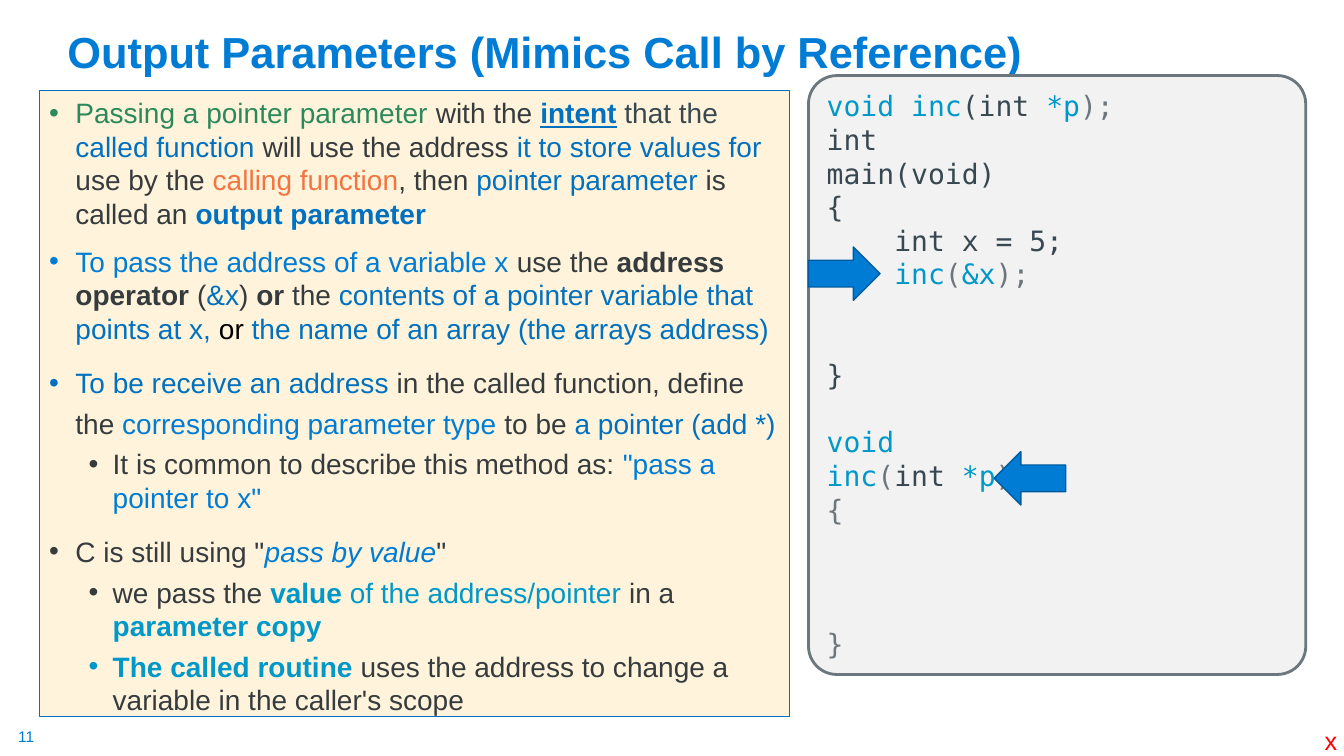
from lxml.etree import SubElement
from pptx import Presentation
from pptx.dml.color import RGBColor
from pptx.enum.shapes import MSO_SHAPE
from pptx.enum.text import MSO_ANCHOR, PP_ALIGN
from pptx.oxml.ns import qn
from pptx.util import Inches, Pt

BLUE = RGBColor(0x00, 0x7C, 0xD5)
DEEP_BLUE = RGBColor(0x00, 0x70, 0xC0)
EDGE_BLUE = RGBColor(0x00, 0x5C, 0x9E)
CYAN = RGBColor(0x00, 0x98, 0xC9)
GREEN = RGBColor(0x2C, 0x89, 0x5B)
ORANGE = RGBColor(0xF3, 0x74, 0x40)
RED = RGBColor(0xFF, 0x00, 0x00)
BLACK = RGBColor(0x00, 0x00, 0x00)
CHARCOAL = RGBColor(0x36, 0x3B, 0x3E)
SLATE = RGBColor(0x38, 0x48, 0x51)
GRAY = RGBColor(0x6B, 0x76, 0x7D)
LIGHT_GRAY = RGBColor(0xF2, 0xF2, 0xF2)
CREAM = RGBColor(0xFF, 0xF4, 0xDB)

COLUMNS, ROWS = 160, 90
CODE_LINE = 24
CODE_INDENT = 0.67
BULLET_INDENTS = [(0.26, -0.26), (0.63, -0.24)]

BULLETS = [
    (0, 1, [
        ("Passing a pointer parameter ", GREEN), ("with the ", CHARCOAL),
        ("intent", DEEP_BLUE, "bold", "underline"), (" ", DEEP_BLUE),
        ("that the ", SLATE), ("called function ", DEEP_BLUE),
        ("will use the address ", CHARCOAL), ("it to store values for ", DEEP_BLUE),
        ("use by the ", CHARCOAL), ("calling function", ORANGE),
        (", then ", CHARCOAL), ("pointer parameter", DEEP_BLUE),
        (" is called an ", CHARCOAL), ("output parameter", DEEP_BLUE, "bold")]),
    (0, 1, [
        ("To pass the address of a variable x ", BLUE), ("use the ", CHARCOAL),
        ("address operator ", CHARCOAL, "bold"), ("(", CHARCOAL),
        ("&x", DEEP_BLUE), (") ", CHARCOAL), ("or", CHARCOAL, "bold"),
        (" the ", CHARCOAL),
        ("contents of a pointer variable that points at x, ", DEEP_BLUE),
        ("or", BLACK), (" the name of an array (the arrays address)", DEEP_BLUE)]),
    (0, 1.2, [
        ("To be receive an address", DEEP_BLUE),
        (" in the called function, define the ", CHARCOAL),
        ("corresponding parameter type", BLUE), (" to be ", CHARCOAL),
        ("a pointer (add *)", DEEP_BLUE)]),
    (1, 1, [
        ("It is common to describe this method as: ", CHARCOAL),
        ("\"pass a pointer to x\"", BLUE)]),
    (0, 1.2, [
        ("C is still using \"", CHARCOAL), ("pass by value", BLUE, "italic"),
        ("\"", CHARCOAL)]),
    (1, 1, [
        ("we pass the ", CHARCOAL), ("value ", CYAN, "bold"),
        ("of the address/pointer ", CYAN), ("in a ", CHARCOAL),
        ("parameter copy", CYAN, "bold")]),
    (1, 1, [
        ("The called routine", CYAN, "bold"),
        (" uses the address to change a variable in the caller's scope", CHARCOAL)]),
]

CODE = [
    (0, 0, [("void inc", CYAN), ("(int ", SLATE), ("*p", CYAN), (");", GRAY)]),
    (0, 0, [("int", SLATE)]),
    (0, 0, [("main(void)", SLATE)]),
    (0, 0, [("{", SLATE)]),
    (1, 0, [("int x = 5;", SLATE)]),
    (1, 0, [("inc", CYAN), ("(", GRAY), ("&x", CYAN), (");", GRAY)]),
    (0, 2, [("}", SLATE)]),
    (0, 1, [("void", CYAN)]),
    (0, 0, [("inc", CYAN), ("(", GRAY), ("int ", SLATE), ("*p", CYAN), (")", GRAY)]),
    (0, 0, [("{", GRAY)]),
    (0, 3, [("}", GRAY)]),
]


def write(paragraph, text, color, *styles, size=20, font="Arial"):
    run = paragraph.add_run()
    run.text = text
    run.font.name = font
    run.font.size = Pt(size)
    run.font.color.rgb = color
    for style in styles:
        setattr(run.font, style, True)


def indent(paragraph, left, first=0, bullet=None):
    properties = paragraph._p.get_or_add_pPr()
    properties.set("marL", str(Inches(left)))
    properties.set("indent", str(Inches(first)))
    if bullet:
        SubElement(properties, qn("a:buFont"), typeface="Arial")
        SubElement(properties, qn("a:buChar"), char=bullet)


class SlideBuilder:
    def __init__(self, presentation):
        self.slide = presentation.slides.add_slide(presentation.slide_layouts[6])
        self.column = presentation.slide_width / COLUMNS
        self.row = presentation.slide_height / ROWS

    def place(self, left, top, width, height):
        return (round(left * self.column), round(top * self.row),
                round(width * self.column), round(height * self.row))

    def label(self, area, text, color, *styles, size, margin=0.0, wrap=False):
        frame = self.slide.shapes.add_textbox(*self.place(*area)).text_frame
        frame.word_wrap = wrap
        frame.vertical_anchor = MSO_ANCHOR.BOTTOM
        frame.margin_left = frame.margin_right = Inches(margin)
        frame.margin_top = frame.margin_bottom = Inches(margin / 2)
        write(frame.paragraphs[0], text, color, *styles, size=size)
        return frame.paragraphs[0]

    def shape(self, kind, area, fill, line, line_width):
        shape = self.slide.shapes.add_shape(kind, *self.place(*area))
        shape.shadow.inherit = False
        shape.fill.solid()
        shape.fill.fore_color.rgb = fill
        shape.line.color.rgb = line
        shape.line.width = Pt(line_width)
        return shape

    def paragraphs(self, shape, items):
        frame = shape.text_frame
        frame.word_wrap = True
        frame.vertical_anchor = MSO_ANCHOR.TOP
        for index, item in enumerate(items):
            paragraph = frame.paragraphs[0] if index == 0 else frame.add_paragraph()
            paragraph.alignment = PP_ALIGN.LEFT
            yield index, paragraph, item

    def bullet_panel(self, area, bullets):
        panel = self.shape(MSO_SHAPE.RECTANGLE, area, CREAM, DEEP_BLUE, 0.75)
        for index, paragraph, (level, spacing, runs) in self.paragraphs(panel, bullets):
            paragraph.level = level
            paragraph.line_spacing = spacing
            paragraph.space_before = Pt((10, 5)[level] if index else 0)
            indent(paragraph, *BULLET_INDENTS[level], bullet="•")
            for run in runs:
                write(paragraph, *run)

    def code_panel(self, area, code):
        panel = self.shape(MSO_SHAPE.ROUNDED_RECTANGLE, area, LIGHT_GRAY, GRAY, 2)
        panel.adjustments[0] = 0.057
        for _, paragraph, (depth, gap, runs) in self.paragraphs(panel, code):
            paragraph.line_spacing = Pt(CODE_LINE)
            paragraph.space_before = Pt(gap * CODE_LINE)
            indent(paragraph, depth * CODE_INDENT)
            for run in runs:
                write(paragraph, *run, font="DejaVu Sans Mono")

    def arrow(self, left, top, rotation=0):
        area = (left, top, 8.52, 6.36)
        self.shape(MSO_SHAPE.RIGHT_ARROW, area, BLUE, EDGE_BLUE, 1).rotation = rotation


def main():
    presentation = Presentation()
    presentation.slide_width = Inches(13.33)
    presentation.slide_height = Inches(7.5)
    builder = SlideBuilder(presentation)
    builder.label((2.16, 86.5, 2.3, 2.3), "11", BLUE, size=11)
    title = builder.label((6.84, 3.12, 138, 6.72),
                          "Output Parameters (Mimics Call by Reference)",
                          BLUE, "bold", size=31, margin=0.1, wrap=True)
    title.line_spacing = 0.9
    builder.bullet_panel((4.68, 10.8, 89.3, 74.5), BULLETS)
    builder.label((157.7, 86.5, 1.6, 3.5), "x", RED, size=18)
    builder.code_panel((96.25, 9, 59.2, 71.3), CODE)
    builder.arrow(96.25, 29.4)
    builder.arrow(118.35, 53.76, rotation=180)
    presentation.save("out.pptx")


if __name__ == "__main__":
    main()
